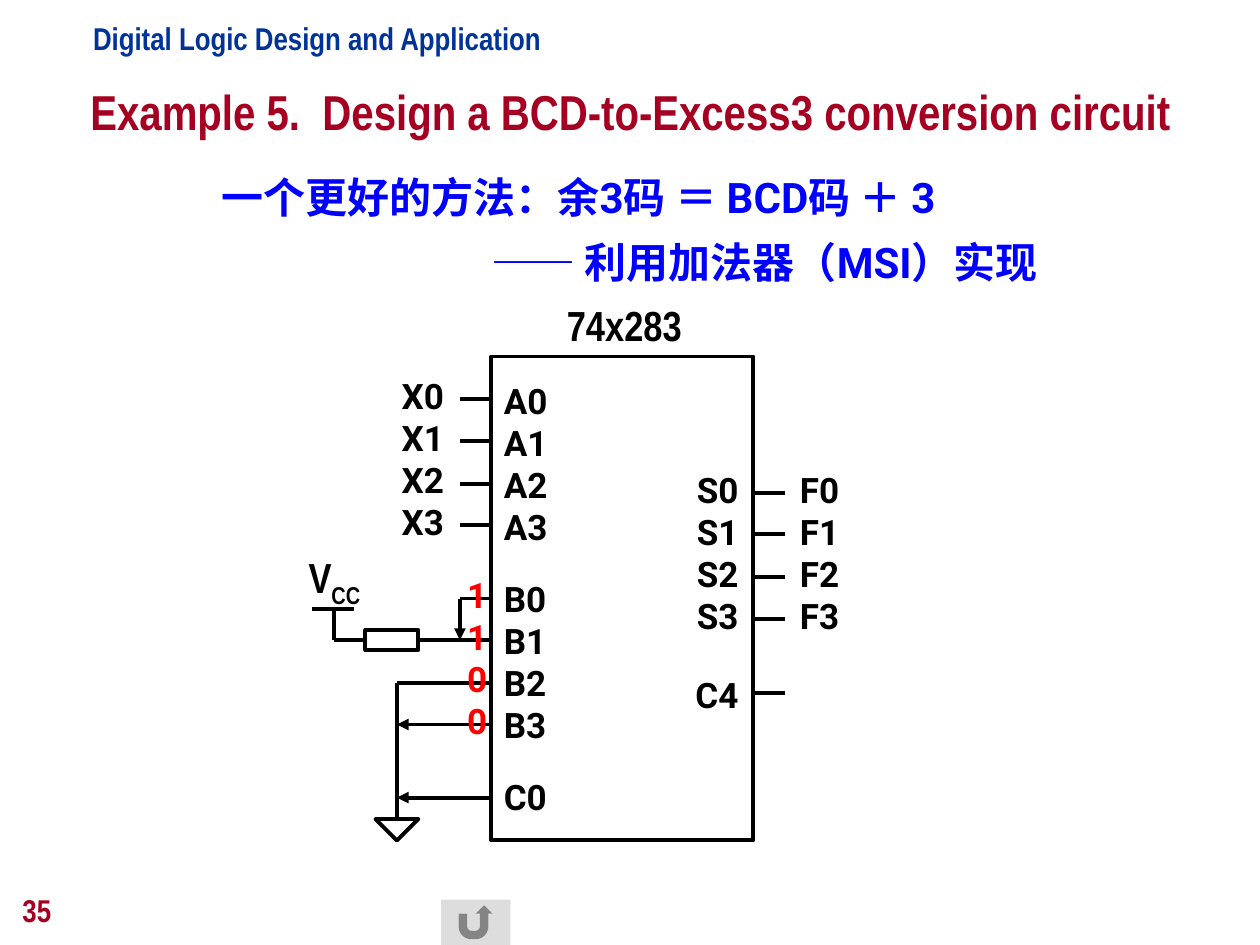
from pptx import Presentation
from pptx.dml.color import RGBColor
from pptx.enum.shapes import MSO_CONNECTOR, MSO_SHAPE
from pptx.enum.text import MSO_ANCHOR, PP_ALIGN
from pptx.oxml.ns import qn
from pptx.util import Inches, Pt
from lxml import etree

COLORS = {
    "header": "003399",
    "title": "A50021",
    "method": "0000FF",
    "ink": "000000",
    "bit": "FF0000",
    "button": "DDDDDD",
}
NARROW, ROBOTO = "Arial Narrow", "Roboto"
PITCH = 1 / 3
IC_LEFT, IC_RIGHT = 3.9, 5.98
A_TOP, B_TOP, S_TOP = 3.17, 4.75, 3.91
C0_Y, C4_Y = 6.33, 5.5
PIN_LEFT, PIN_RIGHT = 3.65, 6.23
GROUND_X, VCC_X = 3.15, 2.65


def rgb(name):
    return RGBColor.from_string(COLORS[name])


def rows(top):
    return [round(top + i * PITCH, 2) for i in range(4)]


def style(font, size, name, color):
    font.size = Pt(size)
    font.name = name
    font.bold = True
    font.color.rgb = rgb(color)


def write_lines(tf, lines, size, name, color, align=PP_ALIGN.LEFT, gaps=None):
    for i, line in enumerate(lines):
        p = tf.paragraphs[0] if i == 0 else tf.add_paragraph()
        p.text = line
        p.alignment = align
        if gaps and line in gaps:
            p.space_before = Pt(gaps[line])
        style(p.font, size, name, color)


def add_text(slide, box, lines, size, name, color, wrap=False,
             align=PP_ALIGN.LEFT, anchor=MSO_ANCHOR.TOP, gaps=None):
    tf = slide.shapes.add_textbox(*map(Inches, box)).text_frame
    tf.word_wrap = wrap
    tf.vertical_anchor = anchor
    write_lines(tf, lines, size, name, color, align, gaps)
    return tf


def add_outline(slide, kind, box):
    sp = slide.shapes.add_shape(kind, *map(Inches, box))
    sp.shadow.inherit = False
    sp.fill.background()
    sp.line.color.rgb = rgb("ink")
    sp.line.width = Pt(2.25)
    return sp


def add_wire(slide, x1, y1, x2, y2, arrow=False):
    wire = slide.shapes.add_connector(
        MSO_CONNECTOR.STRAIGHT, *map(Inches, (x1, y1, x2, y2)))
    wire.line.color.rgb = rgb("ink")
    wire.line.width = Pt(2.25)
    if arrow:
        etree.SubElement(wire.line._get_or_add_ln(), qn("a:tailEnd"), type="triangle")
    etree.SubElement(wire._element.spPr, qn("a:effectLst"))
    return wire


def add_headings(slide):
    add_text(slide, (0.64, 0.1, 3.76, 0.4), ["Digital Logic Design and Application"],
             18, NARROW, "header")
    add_text(slide, (0.08, 6.92, 2.08, 0.5), ["35"], 18, NARROW, "title",
             wrap=True, anchor=MSO_ANCHOR.BOTTOM)
    add_text(slide, (0, 0.6, 10, 0.71),
             ["Example 5.  Design a BCD-to-Excess3 conversion circuit"],
             28, NARROW, "title", wrap=True, align=PP_ALIGN.CENTER)
    tf = add_text(slide, (1.66, 1.19, 6.92, 1.14),
                  ["一个更好的方法：余3码 ＝ BCD码 ＋ 3", "—— 利用加法器（MSI）实现"],
                  24, ROBOTO, "method", wrap=True)
    for p in tf.paragraphs:
        p.line_spacing = 1.3
    tf.paragraphs[1]._p.get_or_add_pPr().set("marL", str(Inches(2.14)))


def add_adder(slide):
    ic = add_outline(slide, MSO_SHAPE.RECTANGLE, (IC_LEFT, 2.83, IC_RIGHT - IC_LEFT, 3.84))
    ic.text_frame.vertical_anchor = MSO_ANCHOR.MIDDLE
    inputs = [f"{bus}{i}" for bus in "AB" for i in range(4)] + ["C0"]
    write_lines(ic.text_frame, inputs, 20, ROBOTO, "ink", gaps={"B0": 17, "C0": 17})
    for y in rows(A_TOP) + rows(B_TOP) + [C0_Y]:
        add_wire(slide, IC_LEFT, y, PIN_LEFT, y)
    for y in rows(S_TOP) + [C4_Y]:
        add_wire(slide, PIN_RIGHT, y, IC_RIGHT, y)

    add_text(slide, (5.42, 3.67, 0.54, 2.07), ["S0", "S1", "S2", "S3", "C4"],
             20, ROBOTO, "ink", wrap=True, align=PP_ALIGN.RIGHT, gaps={"C4": 21})
    add_text(slide, (4.4, 2.33, 1.11, 0.5), ["74x283"], 24, NARROW, "ink")
    for bus, box in (("X", (3.09, 2.92, 0.54, 1.44)), ("F", (6.25, 3.67, 0.51, 1.44))):
        add_text(slide, box, [f"{bus}{i}" for i in range(4)], 20, ROBOTO, "ink")


def add_ground(slide):
    b2, b3 = rows(B_TOP)[2:]
    add_wire(slide, GROUND_X, C0_Y, GROUND_X, b2)
    add_wire(slide, PIN_LEFT, b2, GROUND_X, b2)
    add_wire(slide, GROUND_X, C0_Y, GROUND_X, 6.5)
    symbol = add_outline(slide, MSO_SHAPE.ISOSCELES_TRIANGLE, (2.98, 6.5, 0.34, 0.17))
    symbol.rotation = 180
    for y in (b3, C0_Y):
        add_wire(slide, PIN_LEFT, y, GROUND_X, y, arrow=True)


def add_supply(slide):
    b0, b1 = rows(B_TOP)[:2]
    resistor = add_outline(slide, MSO_SHAPE.RECTANGLE, (2.9, b1 - 0.08, 0.42, 0.16))
    add_wire(slide, PIN_LEFT, b1, 3.32, b1).end_connect(resistor, 3)
    add_wire(slide, PIN_LEFT, b0, PIN_LEFT, b1, arrow=True)
    add_wire(slide, 2.9, b1, VCC_X, b1).begin_connect(resistor, 1)
    add_wire(slide, VCC_X, b1, VCC_X, 4.83)
    add_wire(slide, 2.48, 4.83, 2.81, 4.83)
    p = add_text(slide, (2.35, 4.33, 0.61, 0.56), ["V"], 24, NARROW, "ink").paragraphs[0]
    r = p.add_run()
    r.text = "CC"
    r.font._element.set("baseline", "-25000")


def add_return_button(slide):
    sp = slide.shapes.add_shape(MSO_SHAPE.ACTION_BUTTON_RETURN,
                                *map(Inches, (3.5, 7.14, 0.55, 0.36)))
    sp.shadow.inherit = False
    sp.fill.solid()
    sp.fill.fore_color.rgb = rgb("button")
    sp.line.fill.background()


def main():
    prs = Presentation()
    prs.slide_width, prs.slide_height = Inches(10), Inches(7.5)
    slide = prs.slides.add_slide(prs.slide_layouts[6])
    add_headings(slide)
    add_adder(slide)
    add_ground(slide)
    add_supply(slide)
    add_text(slide, (3.61, 4.5, 0.36, 1.44), list("1100"), 20, ROBOTO, "bit")
    add_return_button(slide)
    prs.save("out.pptx")


if __name__ == "__main__":
    main()
